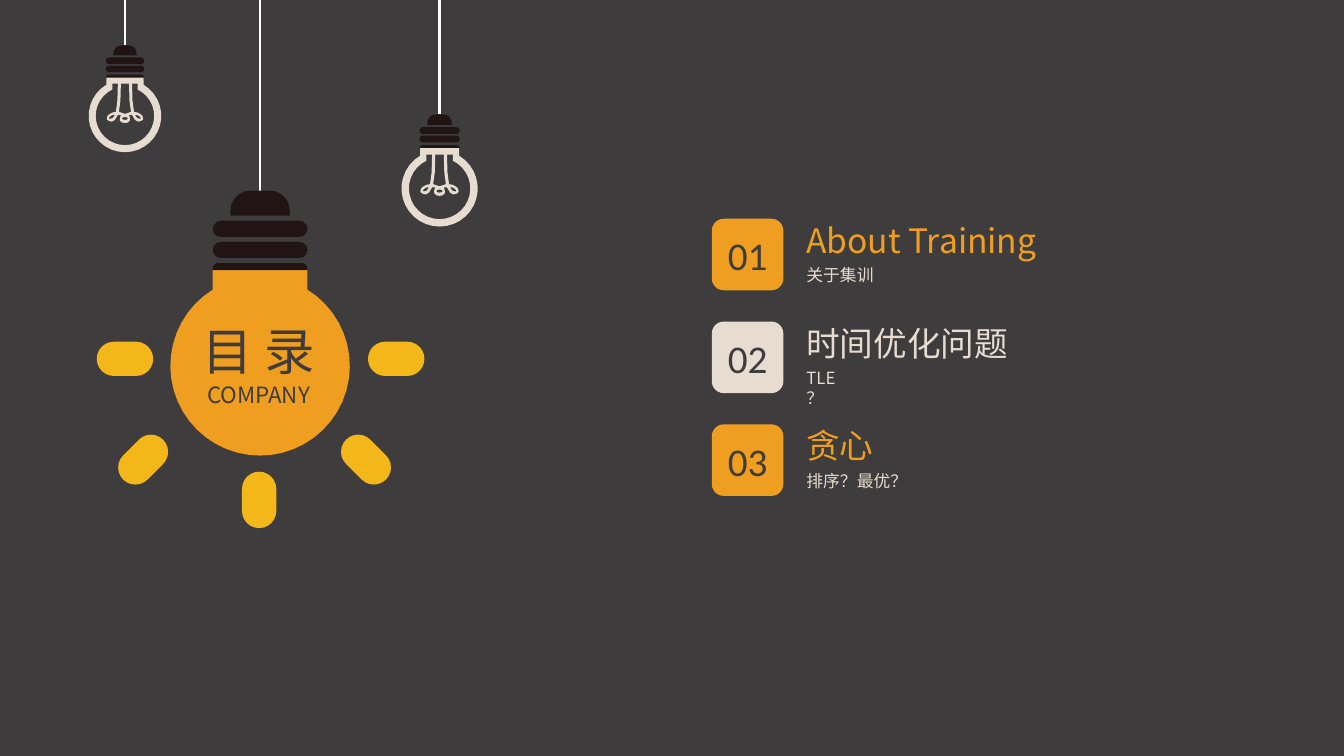
import math
from lxml import etree
from pptx import Presentation
from pptx.dml.color import RGBColor
from pptx.enum import shapes, text
from pptx.oxml import ns
from pptx.util import Inches, Pt

CHARCOAL = RGBColor(0x3F, 0x3C, 0x3D)
ORANGE = RGBColor(0xEF, 0x9E, 0x20)
YELLOW = RGBColor(0xF3, 0xB7, 0x1A)
CREAM = RGBColor(0xE6, 0xDC, 0xCF)
CAP = RGBColor(0x20, 0x15, 0x14)
WHITE = RGBColor(0xFF, 0xFF, 0xFF)
SANS = "Noto Sans CJK SC"

WIRE = [
    (0, 7), (3, 6.5), (5, 4.5), (5, 2), (4, -1), (7, -1), (10, 4),
    (13, 5.7), (16, 5), (18, 3.5), (18, 2), (17, -0.5), (15, -2),
    (12, -3.5), (9, -4), (7.5, -15), (7, -34), (5, -35), (4, -33),
    (4.5, -15), (6, -4), (3, -3), (0, -2),
]
LOOP = [(14, 0), (16, 2), (15, 3), (12, 2), (10, -1), (12, -1)]
RAYS = [(1.24, 3.56, 0), (3.93, 3.56, 0), (3.63, 4.56, 45),
        (1.42, 4.56, -45), (2.57, 4.96, 90)]
TOPICS = [
    ("01", "About Training", "关于集训", ORANGE, 2.83, 0.9),
    ("02", "时间优化问题", "TLE？", CREAM, 2.83, 0.65),
    ("03", "贪心", "排序？最优？", ORANGE, 3.9, 1.25),
]


def arc(cx, cy, rx, ry, start, end, steps):
    angles = [start + (end - start) * i / steps for i in range(steps + 1)]
    return [(cx + rx * math.cos(a), cy + ry * math.sin(a)) for a in angles]


def mirror(points):
    return [(-x, y) for x, y in reversed(points)]


def paint(shape, color):
    shape.shadow.inherit = False
    shape.fill.solid()
    shape.fill.fore_color.rgb = color
    shape.line.fill.background()


def add_outline(parent, contours, color):
    contours = [[(Inches(x), Inches(y)) for x, y in contour] for contour in contours]
    builder = parent.build_freeform(*contours[0][0], scale=1.0)
    builder.add_line_segments(contours[0][1:], close=True)
    for contour in contours[1:]:
        builder.move_to(*contour[0])
        builder.add_line_segments(contour[1:], close=True)
    paint(builder.convert_to_shape(), color)


def add_rounded(parent, left, top, width, height, color, corner):
    shape = parent.add_shape(shapes.MSO_SHAPE.ROUNDED_RECTANGLE, Inches(left),
                             Inches(top), Inches(width), Inches(height))
    shape.adjustments[0] = corner
    paint(shape, color)
    return shape


def add_dome(parent, cx, top, width, height):
    radius, bottom = 0.8 * height, top + height
    inner = width / 2 - radius
    left = arc(cx - inner, top + radius, radius, radius, math.pi, 1.5 * math.pi, 5)
    right = arc(cx + inner, top + radius, radius, radius, 1.5 * math.pi, 2 * math.pi, 5)
    outline = [(cx - width / 2, bottom), *left, *right, (cx + width / 2, bottom)]
    add_outline(parent, [outline], CAP)


def glass(cx, cy, radius, neck, top, steps=28):
    lip = math.acos(neck / radius)
    return [(cx - neck, top), (cx + neck, top),
            *arc(cx, cy, radius, radius, -lip, math.pi + lip, steps)]


def add_cord(parent, x, bottom):
    cord = parent.add_connector(shapes.MSO_CONNECTOR.STRAIGHT, Inches(x), 0,
                                Inches(x), Inches(bottom))
    cord.line.color.rgb = WHITE
    cord.line.width = Pt(1.75)
    etree.SubElement(cord._element.spPr, ns.qn("a:effectLst"))


def add_small_bulb(slide, cx, cy, scale):
    bulb = slide.shapes.add_group_shape().shapes

    def place(points):
        return [(cx + x * scale / 100, cy + y * scale / 100) for x, y in points]

    eye = arc(0, 2.5, 3, 1.5, 0, 2 * math.pi, 8)
    filament = [WIRE + mirror(WIRE)[1:-1], LOOP, eye, mirror(LOOP)]
    add_outline(bulb, [place(contour) for contour in filament], CREAM)
    for rise in (0.41, 0.5, 0.58):
        add_rounded(bulb, cx - 0.19 * scale, cy - rise * scale,
                    0.38 * scale, 0.065 * scale, CAP, 0.5)
    add_dome(bulb, cx, cy - 0.7 * scale, 0.23 * scale, 0.1 * scale)
    ring = [glass(0, 0, 36, 18.5, -38), glass(0, 0, 29, 12.5, -32)]
    add_outline(bulb, [place(contour) for contour in ring], CREAM)
    add_cord(bulb, cx, cy - 0.7 * scale)


def add_main_bulb(slide):
    bulb = slide.shapes.add_group_shape().shapes
    add_cord(bulb, 2.58, 1.91)
    add_outline(bulb, [glass(2.58, 3.63, 0.89, 0.47, 2.68, 40)], ORANGE)
    add_dome(bulb, 2.58, 2.61, 0.94, 0.07)
    for top in (2.4, 2.19):
        add_rounded(bulb, 2.11, top, 0.94, 0.16, CAP, 0.5)
    add_dome(bulb, 2.58, 1.89, 0.59, 0.25)
    for cx, cy, angle in RAYS:
        ray = add_rounded(bulb, cx - 0.28, cy - 0.17, 0.56, 0.34, YELLOW, 0.5)
        ray.rotation = angle


def add_label(slide, box, lines, color, font=SANS, wrap=True, align=None):
    frame = slide.shapes.add_textbox(*map(Inches, box)).text_frame
    frame.word_wrap = wrap
    frame.auto_size = text.MSO_AUTO_SIZE.SHAPE_TO_FIT_TEXT
    frame.text = "\n".join(line for line, _ in lines)
    for paragraph, (_, size) in zip(frame.paragraphs, lines):
        paragraph.alignment = align
        run = paragraph.runs[0]
        run.font.size = Pt(size)
        run.font.name = font
        run.font.color.rgb = color
        east_asian = etree.SubElement(run.font._element, ns.qn("a:ea"))
        east_asian.set("typeface", font)


def add_topic(slide, top, number, heading, detail, color, heading_width, detail_width):
    add_rounded(slide.shapes, 7.06, top, 0.71, 0.71, color, 0.1667)
    add_label(slide, (7.12, top + 0.08, 0.6, 0.57), [(number, 28)], CHARCOAL,
              "Calibri", wrap=False)
    add_label(slide, (7.9, top + 0.41, detail_width, 0.3), [(detail, 12)], CREAM)
    add_label(slide, (7.9, top - 0.04, heading_width, 0.5), [(heading, 24)], color)


def main():
    deck = Presentation()
    deck.slide_width, deck.slide_height = Inches(13.33), Inches(7.5)
    slide = deck.slides.add_slide(deck.slide_layouts[6])
    slide.background.fill.solid()
    slide.background.fill.fore_color.rgb = CHARCOAL
    add_main_bulb(slide)
    add_small_bulb(slide, 1.24, 1.15, 1)
    for row, topic in enumerate(TOPICS):
        add_topic(slide, 2.17 + 1.02 * row, *topic)
    add_small_bulb(slide, 4.36, 1.87, 1.05)
    add_label(slide, (1.88, 3.13, 1.37, 0.99), [("目 录", 36), ("COMPANY", 16)],
              CHARCOAL, align=text.PP_ALIGN.CENTER)
    deck.save("out.pptx")


if __name__ == "__main__":
    main()
